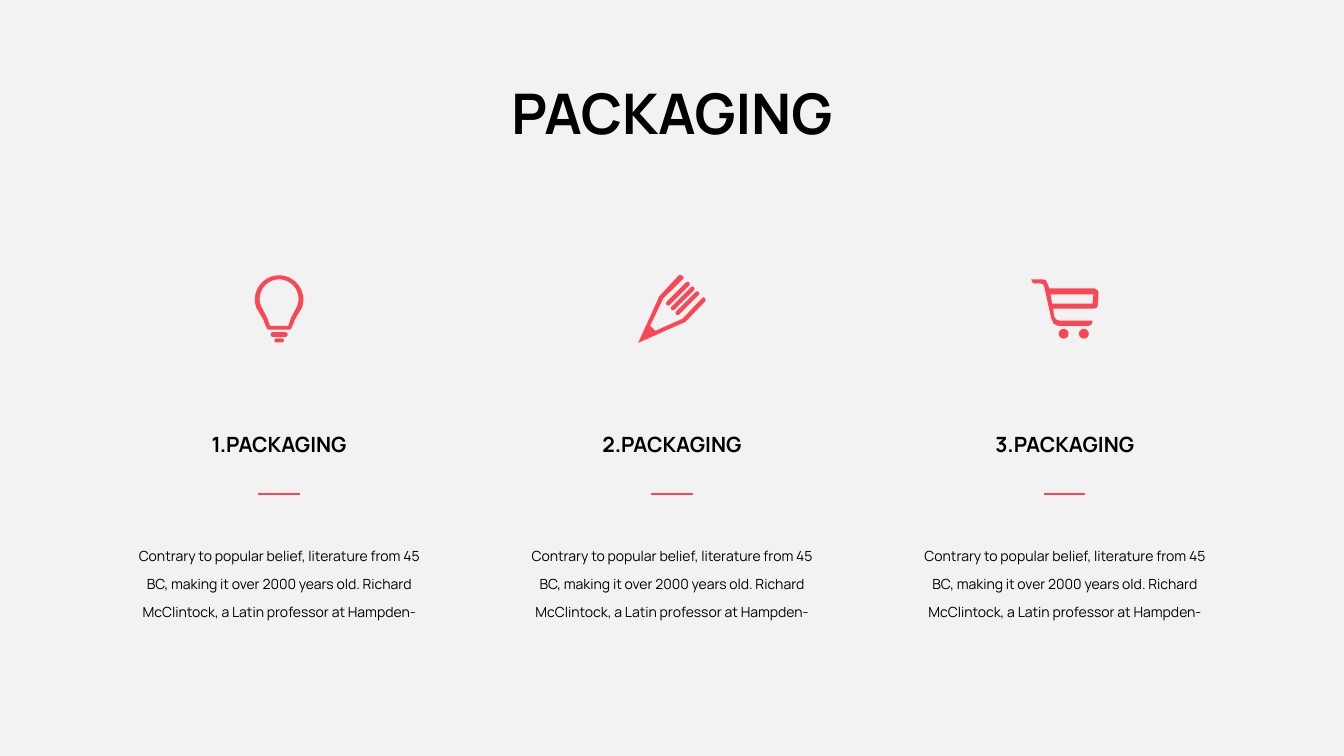
from dataclasses import dataclass
from math import cos, radians, sin

from lxml import etree
from pptx import Presentation
from pptx.dml.color import RGBColor
from pptx.enum.shapes import MSO_CONNECTOR, MSO_SHAPE
from pptx.enum.text import MSO_AUTO_SIZE, PP_ALIGN
from pptx.oxml.ns import qn
from pptx.shapes.autoshape import Shape
from pptx.slide import Slide
from pptx.util import Cm, Pt

RECTANGLE = MSO_SHAPE.RECTANGLE
ROUNDED = MSO_SHAPE.ROUNDED_RECTANGLE
OVAL = MSO_SHAPE.OVAL
STRAIGHT = MSO_CONNECTOR.STRAIGHT
GROW = MSO_AUTO_SIZE.SHAPE_TO_FIT_TEXT
CENTER = PP_ALIGN.CENTER

Point = tuple[float, float]
Contour = list[Point]


@dataclass(frozen=True)
class Theme:
    font: str = "Manrope"
    background: RGBColor = RGBColor(0xF2, 0xF2, 0xF2)
    ink: RGBColor = RGBColor(0, 0, 0)
    accent: RGBColor = RGBColor(0xFA, 0x46, 0x55)
    title_size: int = 40
    heading_size: int = 15
    body_size: int = 10
    heading_spacing: int = 25
    body_spacing: int = 20
    rule_weight: int = 2


@dataclass(frozen=True)
class Piece:
    x: float
    y: float
    width: float
    height: float
    kind: MSO_SHAPE = ROUNDED
    rotation: float = 0


@dataclass(frozen=True)
class Icon:
    contours: list[Contour]
    pieces: list[Piece]


@dataclass(frozen=True)
class Feature:
    heading: str
    body: str
    icon: Icon


THEME = Theme()
SLIDE_WIDTH, SLIDE_HEIGHT = 33.87, 19.05
CENTER_X = SLIDE_WIDTH / 2
COLUMN_STEP = 9.9
ICON_Y = 7.79
RULE_Y = 12.45
RULE_WIDTH = 1.04
UNITS_PER_CM = 1000


def bulb_contour(center_y: float, radius: float, end_angle: int, flank: Contour) -> Contour:
    dome = [
        (radius * cos(radians(angle)), center_y + radius * sin(radians(angle)))
        for angle in range(-90, end_angle + 1, 5)
    ]
    right = dome + flank
    return right + [(-x, y) for x, y in reversed(right[1:])]


BULB = Icon(
    [
        bulb_contour(-0.24, 0.61, 20, [(0.47, 0.14), (0.39, 0.28), (0.36, 0.37), (0.3, 0.5), (0.25, 0.52)]),
        bulb_contour(-0.26, 0.49, 25, [(0.3, 0.22), (0.25, 0.37), (0.23, 0.42)]),
    ],
    [Piece(0, 0.64, 0.43, 0.12), Piece(0, 0.79, 0.24, 0.1)],
)
PENCIL = Icon(
    [[
        (0.83, -0.27), (0.8, -0.3), (0.75, -0.27), (0.27, 0.24), (-0.42, 0.55),
        (-0.55, 0.42), (-0.22, -0.27), (0.27, -0.75), (0.3, -0.79), (0.27, -0.83),
        (0.22, -0.86), (0.17, -0.85), (-0.32, -0.32), (-0.85, 0.85), (0.34, 0.32),
        (0.83, -0.19), (0.85, -0.23),
    ]],
    [Piece(0.27 + shift, -0.27 + shift, 0.8, 0.11, rotation=-45) for shift in (-0.12, 0, 0.12)],
)
CART = Icon(
    [
        [
            (0.83, -0.47), (0.75, -0.52), (-0.39, -0.52), (-0.44, -0.65), (-0.48, -0.73),
            (-0.55, -0.75), (-0.85, -0.75), (-0.8, -0.65), (-0.62, -0.65), (-0.55, -0.63),
            (-0.52, -0.57), (-0.34, 0.24), (-0.28, 0.37), (-0.17, 0.42), (0.6, 0.42),
            (0.68, 0.38), (0.7, 0.29), (-0.14, 0.29), (-0.22, 0.26), (-0.27, 0.17),
            (-0.29, -0.01), (0.72, -0.01), (0.8, -0.03), (0.83, -0.09), (0.85, -0.42),
        ],
        [(0.7, -0.14), (-0.32, -0.14), (-0.36, -0.37), (0.72, -0.37)],
    ],
    [Piece(x, 0.62, 0.25, 0.25, OVAL) for x in (-0.03, 0.48)],
)

BODY = (
    "Contrary to popular belief, literature from 45 BC, making it over 2000 years old. "
    "Richard McClintock, a Latin professor at Hampden-"
)
FEATURES = [
    Feature("1.PACKAGING", BODY, BULB),
    Feature("2.PACKAGING", BODY, PENCIL),
    Feature("3.PACKAGING", BODY, CART),
]


def paint(shape: Shape, color: RGBColor) -> None:
    shape.shadow.inherit = False
    shape.fill.solid()
    shape.fill.fore_color.rgb = color
    shape.line.fill.background()


def draw_piece(slide: Slide, piece: Piece, x: float, y: float, color: RGBColor) -> None:
    left = x + piece.x - piece.width / 2
    top = y + piece.y - piece.height / 2
    shape = slide.shapes.add_shape(piece.kind, Cm(left), Cm(top), Cm(piece.width), Cm(piece.height))
    if piece.kind == ROUNDED:
        shape.adjustments[0] = 0.5
    shape.rotation = piece.rotation
    paint(shape, color)


def draw_icon(slide: Slide, icon: Icon, x: float, y: float) -> None:
    outlines = [
        [(round((x + px) * UNITS_PER_CM), round((y + py) * UNITS_PER_CM)) for px, py in contour]
        for contour in icon.contours
    ]
    builder = slide.shapes.build_freeform(*outlines[0][0], scale=Cm(1) / UNITS_PER_CM)
    builder.add_line_segments(outlines[0][1:], close=True)
    for hole in outlines[1:]:
        builder.move_to(*hole[0])
        builder.add_line_segments(hole[1:], close=True)
    paint(builder.convert_to_shape(), THEME.accent)
    for piece in icon.pieces:
        draw_piece(slide, piece, x, y, THEME.accent)


def draw_text(
    slide: Slide, text: str, x: float, top: float, width: float, height: float,
    size: int, bold: bool = False, spacing: int | None = None,
) -> None:
    box = slide.shapes.add_textbox(Cm(x - width / 2), Cm(top), Cm(width), Cm(height))
    frame = box.text_frame
    frame.word_wrap = True
    frame.auto_size = GROW
    paragraph = frame.paragraphs[0]
    paragraph.alignment = CENTER
    if spacing is not None:
        paragraph.line_spacing = Pt(spacing)
    run = paragraph.add_run()
    run.text = text
    run.font.name = THEME.font
    run.font.size = Pt(size)
    run.font.bold = bold
    run.font.color.rgb = THEME.ink


def draw_rule(slide: Slide, x: float) -> None:
    half = RULE_WIDTH / 2
    rule = slide.shapes.add_connector(STRAIGHT, Cm(x - half), Cm(RULE_Y), Cm(x + half), Cm(RULE_Y))
    rule.line.color.rgb = THEME.accent
    rule.line.width = Pt(THEME.rule_weight)
    etree.SubElement(rule._element.spPr, qn("a:effectLst"))


def draw_feature(slide: Slide, feature: Feature, x: float) -> None:
    draw_icon(slide, feature.icon, x, ICON_Y)
    draw_text(slide, feature.heading, x, 10.49, 5.2, 1.14, THEME.heading_size, True, THEME.heading_spacing)
    draw_rule(slide, x)
    draw_text(slide, feature.body, x, 13.39, 8.15, 3.02, THEME.body_size, spacing=THEME.body_spacing)


def main() -> None:
    deck = Presentation()
    deck.slide_width, deck.slide_height = Cm(SLIDE_WIDTH), Cm(SLIDE_HEIGHT)
    slide = deck.slides.add_slide(deck.slide_layouts[6])
    backdrop = Piece(0, 0, SLIDE_WIDTH, SLIDE_HEIGHT, RECTANGLE)
    draw_piece(slide, backdrop, CENTER_X, SLIDE_HEIGHT / 2, THEME.background)
    draw_text(slide, "PACKAGING", CENTER_X, 1.85, 20.75, 1.96, THEME.title_size, True)
    for index, feature in enumerate(FEATURES):
        draw_feature(slide, feature, CENTER_X + (index - 1) * COLUMN_STEP)
    deck.save("out.pptx")


if __name__ == "__main__":
    main()
